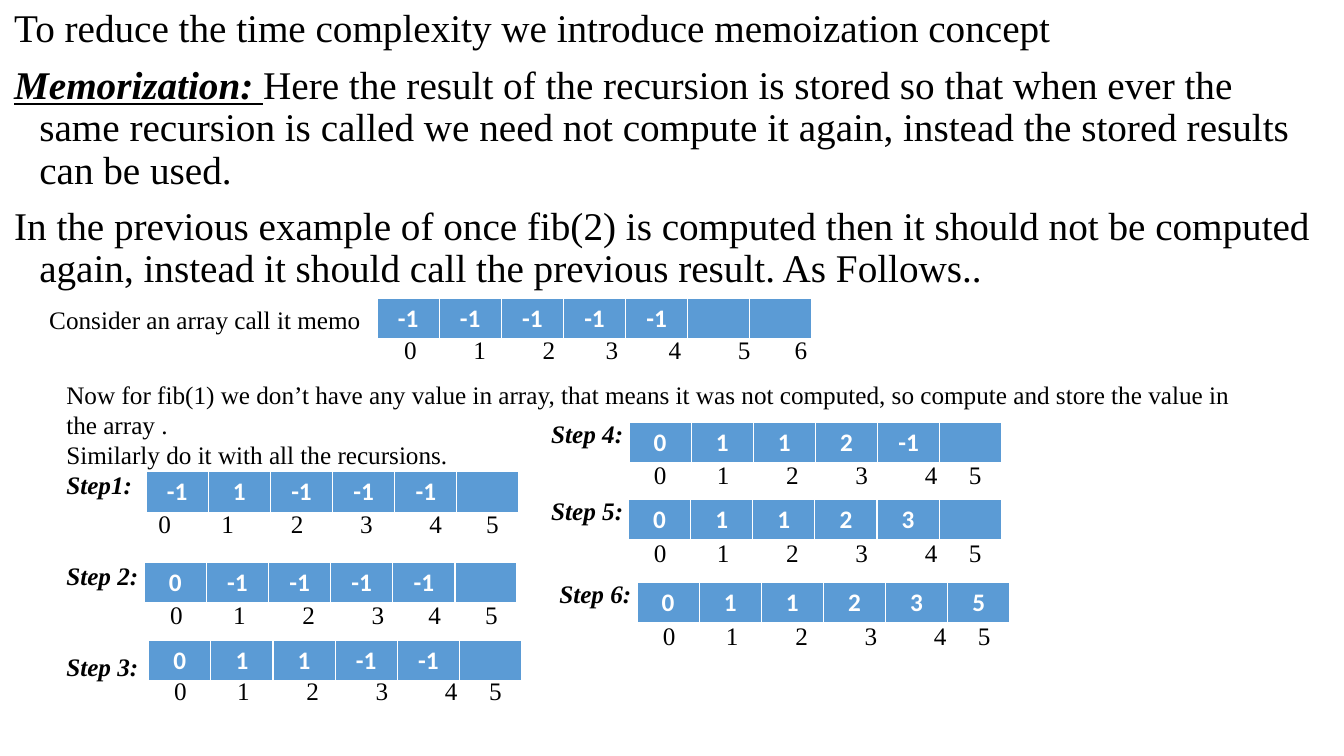
from pptx import Presentation
from pptx.dml.color import RGBColor
from pptx.enum import text
from pptx.oxml import xmlchemy
from pptx.util import Pt

BLACK = RGBColor(0, 0, 0)
WHITE = RGBColor(255, 255, 255)
BLUE = RGBColor(0x5B, 0x9B, 0xD5)
SERIF, SANS = "Times New Roman", "Calibri"

INTRO = [
    [("To reduce the time complexity we introduce memoization concept", False)],
    [("Memorization: ", True),
     ("Here the result of the recursion is stored so that when ever the same recursion "
      "is called we need not compute it again, instead the stored results can be used.", False)],
    [("In the previous example of once fib(2) is computed then it should not be computed "
      "again, instead it should call the previous result. As Follows..", False)],
]
MEMO_LABEL = "Consider an array call it memo"
EXPLANATION = [
    ("Now for fib(1) we don’t have any value in array, that means it was not computed, "
     "so compute and store the value in the array .", False, 0),
    ("Similarly do it with all the recursions.", False, 0),
    ("Step1:", True, 0),
    ("Step 2:", True, 43.2),
    ("Step 3:", True, 43.2),
]
RIGHT_LABELS = [("Step 4:", 386.6, 295.2), ("Step 5:", 386.6, 350.6), ("Step 6:", 392.4, 409.7)]

WIDE, NARROW = 45, 49.5
EVEN = [WIDE, NARROW, NARROW, NARROW, 31.5]
ARRAYS = [
    (["-1"] * 5 + ["", ""], 269.3, 213.1, (281.5, 235.4), 0,
     [NARROW, NARROW, WIDE, WIDE, NARROW, 40.5]),
    (["-1", "1", "-1", "-1", "-1", ""], 104.4, 337, (101.5, 359.3), 4.5,
     [WIDE, NARROW, NARROW, NARROW, 40.5]),
    (["0", "-1", "-1", "-1", "-1", ""], 103, 401.8, (100.8, 424.8), 13.5,
     [WIDE, NARROW, NARROW, 40.5, 40.5]),
    (["0", "1", "1", "-1", "-1", ""], 106.2, 457.2, (103.7, 478.8), 13.5, EVEN),
    (["0", "1", "1", "2", "-1", ""], 449.3, 301.7, (446.4, 324.7), 13.5, EVEN),
    (["0", "1", "1", "2", "3", ""], 448.9, 356.4, (446.4, 380.2), 13.5, EVEN),
    (["0", "1", "1", "2", "3", "5"], 455, 416.2, (452.9, 439.9), 13.5, EVEN),
]
CELL_WIDTH, CELL_HEIGHT, INSET = 44.4, 28.8, 7.2


def add_span(para, words, size, emphasis=False, font=SERIF, color=BLACK):
    span = para.add_run()
    span.text = words
    span.font.size = Pt(size)
    span.font.name = font
    span.font.bold = emphasis
    span.font.color.rgb = color
    return span


def next_para(frame, position):
    return frame.add_paragraph() if position else frame.paragraphs[0]


def add_box(page, left, top, width, height=CELL_HEIGHT):
    box = page.shapes.add_textbox(Pt(left), Pt(top), Pt(width), Pt(height))
    box.text_frame.word_wrap = True
    return box.text_frame


def add_label(page, words, left, top, width, emphasis=False):
    para = add_box(page, left, top, width).paragraphs[0]
    add_span(para, words, 18, emphasis).font.italic = emphasis


def add_intro(page):
    page.shapes.title.element.getparent().remove(page.shapes.title.element)
    body = page.placeholders[1]
    body.left, body.top, body.width, body.height = Pt(2.9), Pt(2.9), Pt(943.9), Pt(211)
    frame = body.text_frame
    frame.auto_size = text.MSO_AUTO_SIZE.NONE
    frame.vertical_anchor = text.MSO_ANCHOR.TOP
    for position, spans in enumerate(INTRO):
        para = next_para(frame, position)
        properties = para._p.get_or_add_pPr()
        properties.set("marL", str(Pt(18)))
        properties.set("indent", str(-Pt(18)))
        properties.append(xmlchemy.OxmlElement("a:buNone"))
        para.line_spacing = 0.9
        para.space_before = Pt(10 if position else 0)
        for words, emphasis in spans:
            span = add_span(para, words, 28, emphasis)
            span.font.italic = span.font.underline = emphasis


def add_explanation(page):
    frame = add_box(page, 40.3, 267.1, 880.6, 247)
    frame.margin_right = Pt(24)
    for position, (words, emphasis, gap) in enumerate(EXPLANATION):
        para = next_para(frame, position)
        para.space_before = Pt(gap)
        add_span(para, words, 18, emphasis).font.italic = emphasis


def add_array(page, values, left, top):
    grid = page.shapes.add_table(1, len(values), Pt(left), Pt(top),
                                 Pt(CELL_WIDTH * len(values)), Pt(CELL_HEIGHT)).table
    grid.horz_banding = False
    grid.rows[0].height = Pt(CELL_HEIGHT)
    for column, value in enumerate(values):
        grid.columns[column].width = Pt(CELL_WIDTH)
        cell = grid.cell(0, column)
        cell.fill.solid()
        cell.fill.fore_color.rgb = BLUE
        para = cell.text_frame.paragraphs[0]
        para.alignment = text.PP_ALIGN.CENTER
        para.font.size = Pt(18)
        if value:
            add_span(para, value, 18, True, SANS, WHITE)


def add_indices(page, place, lead, gaps):
    frame = add_box(page, *place, CELL_WIDTH * len(gaps) + 46)
    frame.margin_left = Pt(INSET + lead)
    para = frame.paragraphs[0]
    stops = xmlchemy.OxmlElement("a:tabLst")
    for count in range(1, len(gaps) + 1):
        stop = xmlchemy.OxmlElement("a:tab")
        stop.set("pos", str(Pt(sum(gaps[:count]))))
        stop.set("algn", "l")
        stops.append(stop)
    para._p.get_or_add_pPr().append(stops)
    add_span(para, "\t".join(str(index) for index in range(len(gaps) + 1)), 18)


def main():
    deck = Presentation()
    deck.slide_width, deck.slide_height = Pt(960), Pt(540)
    page = deck.slides.add_slide(deck.slide_layouts[1])
    add_intro(page)
    add_label(page, MEMO_LABEL, 28.1, 213.8, 245.5)
    add_explanation(page)
    for words, left, top in RIGHT_LABELS:
        add_label(page, words, left, top, 72.7, True)
    for values, left, top, index_place, lead, gaps in ARRAYS:
        add_array(page, values, left, top)
        add_indices(page, index_place, lead, gaps)
    deck.save("out.pptx")


if __name__ == "__main__":
    main()
